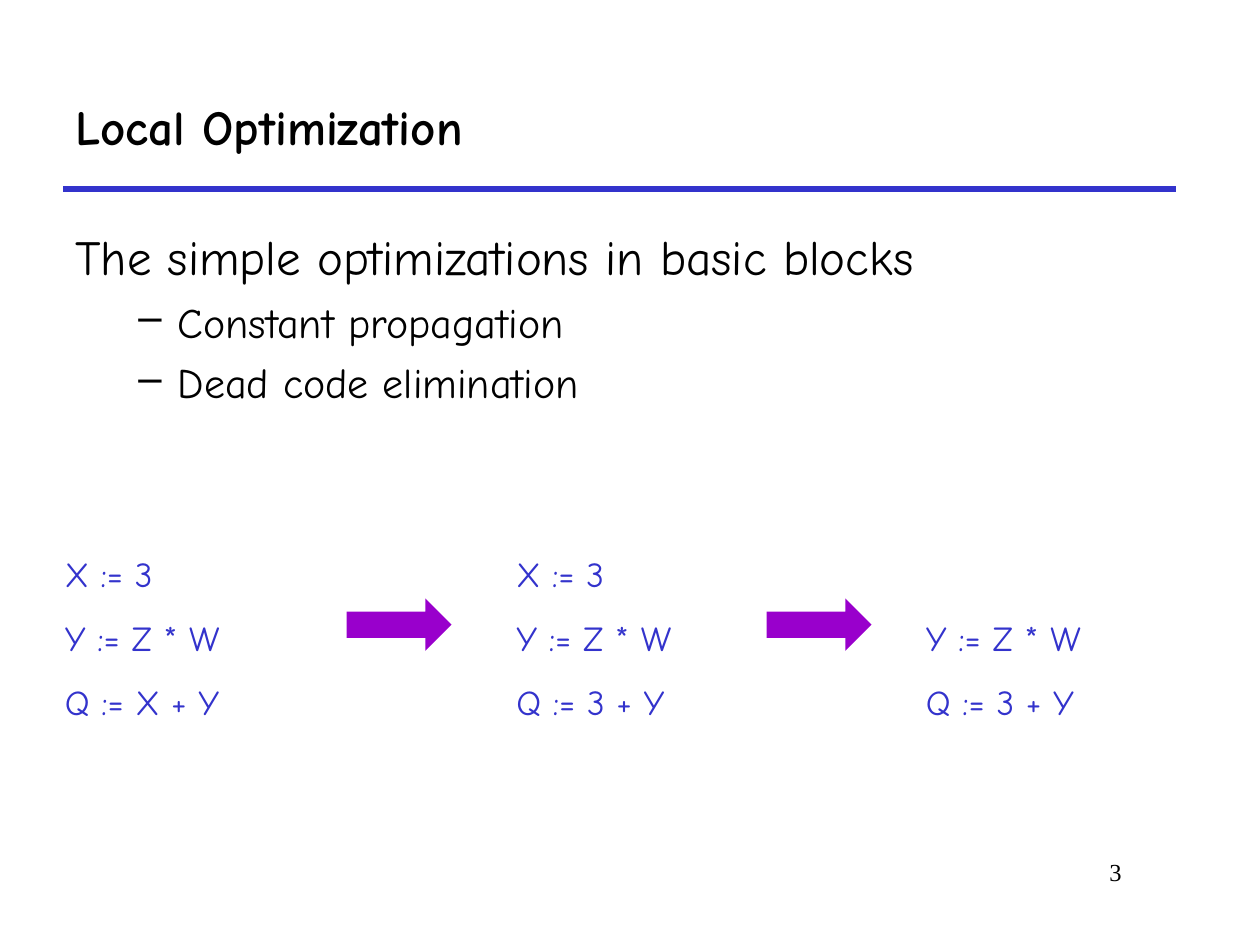
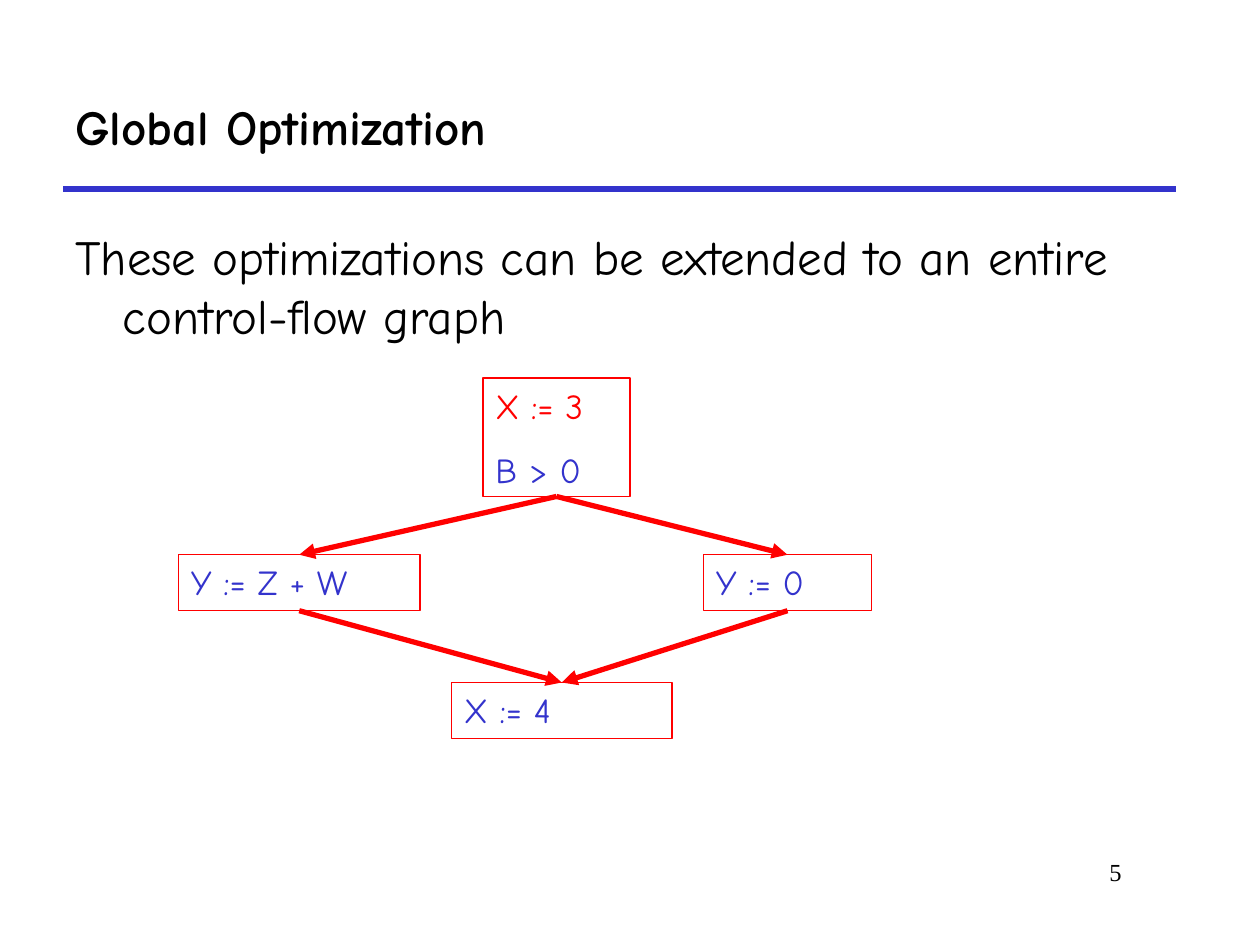
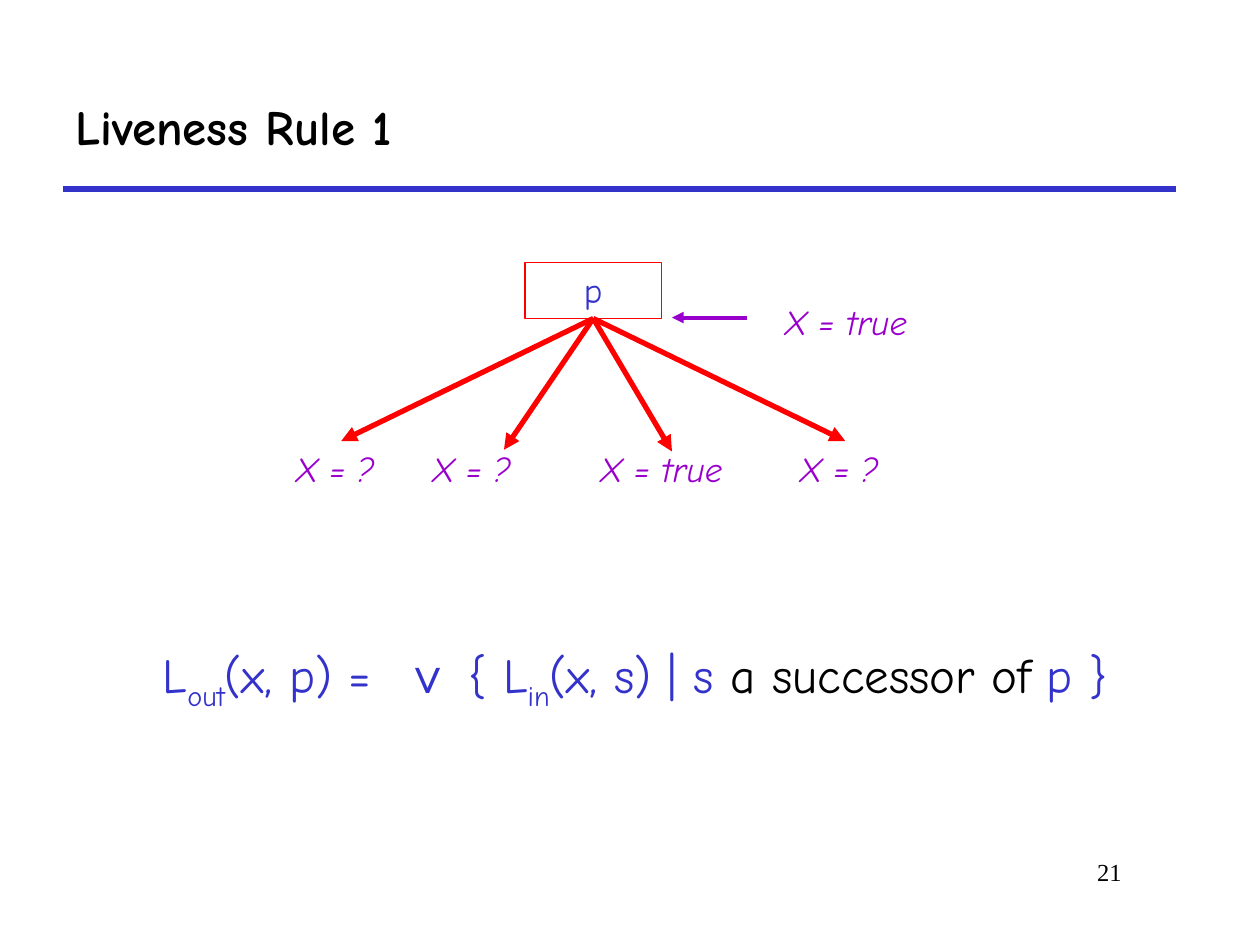
from pptx import Presentation
from pptx.dml.color import RGBColor
from pptx.enum.shapes import MSO_CONNECTOR, MSO_SHAPE
from pptx.enum.text import MSO_ANCHOR, PP_ALIGN
from pptx.oxml.ns import qn
from pptx.util import Pt
from lxml.etree import SubElement

COLORS = {"ink": "000000", "blue": "3333CC", "red": "FF0000", "violet": "9900CC"}
FONT = "Comic Neue"
PAGE = (720, 540)
HEAD = (36, 36, 636, 72)
FOOT = (498, 486, 150, 36)
LINE_H = 32   # height of a box with one line of code
PITCH = 36.6  # step from one line of code to the next


def rgb(name):
    return RGBColor.from_string(COLORS[name])


def style(run, size, color, font=FONT, bold=False, slant=False):
    run.font.size = Pt(size)
    run.font.name = font
    run.font.color.rgb = rgb(color)
    run.font.bold = bold
    run.font.italic = slant


def write(shape, lines, size, color, gap=0, align=PP_ALIGN.LEFT,
          anchor=MSO_ANCHOR.TOP, **look):
    """Fill a shape with lines of text in one style."""
    frame = shape.text_frame
    frame.word_wrap = True
    frame.vertical_anchor = anchor
    frame.text = "\n".join(lines)
    for i, para in enumerate(frame.paragraphs):
        para.alignment = align
        para.space_before = Pt(gap if i else 0)
        for run in para.runs:
            style(run, size, color, **look)
    return frame


def label(slide, box, lines, size, color, **look):
    shape = slide.shapes.add_textbox(*map(Pt, box))
    return write(shape, lines, size, color, **look)


def indent(para, left, first, mark=None):
    props = para._p.get_or_add_pPr()
    props.set("marL", str(Pt(left)))
    props.set("indent", str(Pt(first)))
    if mark:
        SubElement(props, qn("a:buChar")).set("char", mark)


def line(slide, start, end, color, width, arrow=True):
    """Draw a line between points; an end may also be a (shape, site) pair."""
    fixed = [isinstance(tip[0], (int, float)) for tip in (start, end)]
    spots = [tip if free else (0, 0) for tip, free in zip((start, end), fixed)]
    link = slide.shapes.add_connector(
        MSO_CONNECTOR.STRAIGHT, *(Pt(v) for spot in spots for v in spot))
    if not fixed[0]:
        link.begin_connect(*start)
    if not fixed[1]:
        link.end_connect(*end)
    link.line.color.rgb = rgb(color)
    link.line.width = Pt(width)
    if arrow:
        SubElement(link.line._get_or_add_ln(), qn("a:tailEnd")).set("type", "triangle")
    SubElement(link._element.spPr, qn("a:effectLst"))


def block(slide, box, lines, align=PP_ALIGN.LEFT):
    """Outlined basic block of code."""
    rect = slide.shapes.add_shape(MSO_SHAPE.RECTANGLE, *map(Pt, box))
    rect.shadow.inherit = False
    rect.fill.background()
    rect.line.color.rgb = rgb("red")
    rect.line.width = Pt(0.75)
    write(rect, lines, 20, "blue", gap=12.5, align=align)
    return rect


def base(deck, title, number):
    """Slide with title, rule and page number."""
    slide = deck.slides.add_slide(deck.slide_layouts[6])
    x, y, w, h = HEAD
    line(slide, (x, y + h), (x + w, y + h), "blue", 3, arrow=False)
    label(slide, FOOT, [str(number)], 14, "ink", align=PP_ALIGN.RIGHT,
          font="Times New Roman")
    label(slide, HEAD, [title], 28, "ink", anchor=MSO_ANCHOR.MIDDLE, bold=True)
    return slide


def body(slide, box, lead, points=()):
    """Lead sentence with dashed points below it."""
    frame = label(slide, box, [lead, *points], 28, "ink")
    first, *rest = frame.paragraphs
    indent(first, 27, -27)
    for para in rest:
        para.level = 1
        indent(para, 58.5, -22.5, "–")
        para.space_before = Pt(6)
        para.runs[0].font.size = Pt(24)


def steps(slide, box):
    """Three stages of code with block arrows between them."""
    x, y, w, h = box
    stages = [
        (0, ["X := 3", "Y := Z * W", "Q := X + Y"]),
        (258, ["X := 3", "Y := Z * W", "Q := 3 + Y"]),
        (492, ["Y := Z * W", "Q := 3 + Y"]),
    ]
    for dx, code in stages:
        drop = (3 - len(code)) * PITCH
        label(slide, (x + dx, y + drop, 138, h - drop), code, 20, "blue", gap=12.5)
    for dx in (168, 408):
        arrow = slide.shapes.add_shape(
            MSO_SHAPE.RIGHT_ARROW, Pt(x + dx), Pt(y + 30), Pt(60), Pt(30))
        arrow.shadow.inherit = False
        arrow.fill.solid()
        arrow.fill.fore_color.rgb = rgb("violet")
        arrow.line.fill.background()


def graph(slide, box):
    """Control-flow graph that branches and joins."""
    x, y, w, h = box
    mid = y + 101
    root = block(slide, (x + 174, y, 84, LINE_H + PITCH - 0.9), ["X := 3", "B > 0"])
    root.text_frame.paragraphs[0].runs[0].font.color.rgb = rgb("red")
    left = block(slide, (x, mid, 138, LINE_H), ["Y := Z + W"])
    right = block(slide, (x + w - 96, mid, 96, LINE_H), ["Y := 0"])
    join = block(slide, (x + 156, y + h - LINE_H, 126, LINE_H), ["X := 4"])
    for side in (left, right):
        line(slide, (root, 2), (side, 0), "red", 3)
    for side in (left, right):
        line(slide, (side, 2), (join, 0), "red", 3)


def fan(slide, box):
    """Point p, its successors and the facts known at each."""
    x, y, w, h = box
    node = block(slide, (x + 138, y, 78, LINE_H), ["p"], PP_ALIGN.CENTER)
    for dx, dy in ((33, 102), (126, 107), (222, 108), (321, 102)):
        line(slide, (node, 2), (x + dx, y + dy), "red", 3)
    facts = [(0, 102, 66, "X = ?"), (78, 102, 66, "X = ?"),
             (174, 102, 108, "X = true"), (288, 102, 66, "X = ?"),
             (279.5, 18, 105, "X = true")]
    for dx, dy, wide, fact in facts:
        label(slide, (x + dx, y + dy, wide, LINE_H), [fact], 20, "violet", slant=True)
    line(slide, (x + 265, y + 31.5), (x + 222, y + 31.5), "violet", 2.25)


def rule(slide, box):
    """Liveness equation with subscripts."""
    parts = [("L", "blue"), ("out", "sub"), ("(x, p) =", "blue"), (" ", "wide"),
             ("∨", "sign"), (" { L", "blue"), ("in", "sub"), ("(x, s) | s ", "blue"),
             ("a successor of", "ink"), (" p }", "blue")]
    para = label(slide, box, [""], 28, "blue", align=PP_ALIGN.CENTER).paragraphs[0]
    indent(para, 27, -27)
    for text, kind in parts:
        run = para.add_run()
        run.text = text
        style(run, 28, "ink" if kind == "ink" else "blue",
              font="Arial" if kind == "sign" else FONT)
        props = run._r.get_or_add_rPr()
        if kind == "sub":
            props.set("baseline", "-25000")
        if kind == "wide":
            props.set("spc", "900")


def main():
    deck = Presentation()
    deck.slide_width, deck.slide_height = map(Pt, PAGE)

    # Local optimization
    slide = base(deck, "Local Optimization", 3)
    body(slide, (36, 126, 654, 138), "The simple optimizations in basic blocks",
         ["Constant propagation", "Dead code elimination"])
    steps(slide, (30, 312, 630, 104))

    # Global optimization
    slide = base(deck, "Global Optimization", 5)
    body(slide, (36, 126, 654, 348),
         "These optimizations can be extended to an entire control-flow graph")
    graph(slide, (102, 216, 396, 206))

    # Liveness
    slide = base(deck, "Liveness Rule 1", 21)
    rule(slide, (36, 365, 654, 109))
    fan(slide, (162, 150, 384, 134))

    deck.save("out.pptx")


if __name__ == "__main__":
    main()
